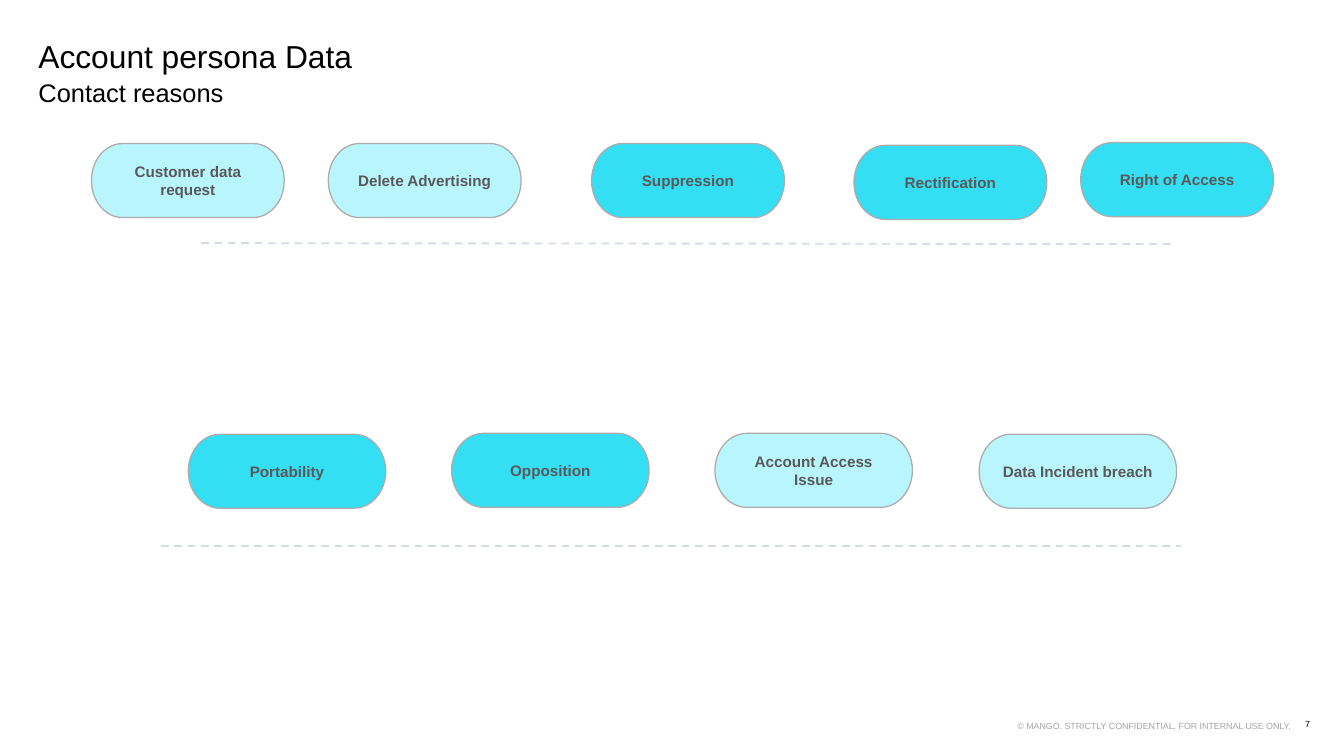
"""Build the slide listing the contact reasons for account personal data."""
from typing import NamedTuple

import pptx
import pptx.dml.color
import pptx.enum.dml
import pptx.enum.shapes
import pptx.enum.text
import pptx.oxml
import pptx.oxml.ns
import pptx.util

Inches = pptx.util.Inches
Pt = pptx.util.Pt
Align = pptx.enum.text.PP_ALIGN
Anchor = pptx.enum.text.MSO_ANCHOR

PALE, BRIGHT = "B9F5FC", "34DEF3"
ROW_1_WIDTH, ROW_2_WIDTH, PILL_HEIGHT = 2.11, 2.16, 0.81


class Pill(NamedTuple):
    text: str
    left: float
    top: float
    width: float
    fill: str


class Label(NamedTuple):
    text: str
    box: tuple[float, float, float, float]
    size: float
    color: str
    spacing: float
    align: Align


class Divider(NamedTuple):
    x1: float
    y1: float
    x2: float
    y2: float


TITLE = Label("Account persona Data", (0.42, 0.32, 4.05, 0.41), 25, "000000", 1.2, Align.LEFT)
LABELS = [
    Label("Contact reasons", (0.42, 0.82, 2.59, 0.6), 20, "000000", 1.07, Align.LEFT),
    Label("© MANGO. STRICTLY CONFIDENTIAL, FOR INTERNAL USE ONLY.",
          (10.67, 7.83, 3.45, 0.16), 7, "A5A5A5", 1.5, Align.RIGHT),
    Label("7", (13.9, 7.86, 0.43, 0.12), 7, "000000", 1, Align.RIGHT),
]
PILLS = [
    Pill("Customer data request", 1, 1.57, ROW_1_WIDTH, PALE),
    Pill("Delete Advertising", 3.59, 1.57, ROW_1_WIDTH, PALE),
    Pill("Suppression", 6.47, 1.57, ROW_1_WIDTH, BRIGHT),
    Pill("Rectification", 9.34, 1.59, ROW_1_WIDTH, BRIGHT),
    Pill("Right of Access", 11.82, 1.56, ROW_1_WIDTH, BRIGHT),
    Pill("Portability", 2.06, 4.75, ROW_2_WIDTH, BRIGHT),
    Pill("Opposition", 4.94, 4.74, ROW_2_WIDTH, BRIGHT),
    Pill("Account Access Issue", 7.82, 4.74, ROW_2_WIDTH, PALE),
    Pill("Data Incident breach", 10.71, 4.75, ROW_2_WIDTH, PALE),
]
DIVIDERS = [Divider(2.2, 2.66, 12.86, 2.67), Divider(1.76, 5.97, 12.92, 5.97)]


def rgb(color: str) -> pptx.dml.color.RGBColor:
    """Turn a hex string into a colour."""
    return pptx.dml.color.RGBColor.from_string(color)


def write(p, text: str, size: float, color: str, align: Align, bold: bool = False) -> None:
    """Put formatted text into a paragraph."""
    p.text = text
    p.alignment = align
    p.font.name = "Arial"
    p.font.size = Pt(size)
    p.font.bold = bold
    p.font.color.rgb = rgb(color)


def fill_label(sp, label: Label) -> None:
    """Place a text shape without margins and write its label."""
    sp.left, sp.top, sp.width, sp.height = map(Inches, label.box)
    tf = sp.text_frame
    tf.word_wrap = True
    tf.auto_size = pptx.enum.text.MSO_AUTO_SIZE.NONE
    tf.vertical_anchor = Anchor.TOP
    tf.margin_left = tf.margin_top = tf.margin_right = tf.margin_bottom = 0
    p = tf.paragraphs[0]
    write(p, label.text, label.size, label.color, label.align)
    p.line_spacing = label.spacing


def add_pill(shapes, pill: Pill) -> None:
    """Draw one contact reason."""
    sp = shapes.add_shape(
        pptx.enum.shapes.MSO_SHAPE.FLOWCHART_TERMINATOR,
        Inches(pill.left), Inches(pill.top), Inches(pill.width), Inches(PILL_HEIGHT))
    sp.shadow.inherit = False
    sp.fill.solid()
    sp.fill.fore_color.rgb = rgb(pill.fill)
    sp.line.color.rgb = rgb("AEABAB")
    sp.line.width = Pt(1)
    tf = sp.text_frame
    tf.word_wrap = True
    tf.vertical_anchor = Anchor.MIDDLE
    write(tf.paragraphs[0], pill.text, 12, "595959", Align.CENTER, bold=True)


def add_divider(shapes, divider: Divider) -> None:
    """Draw a dashed line below a row."""
    line = shapes.add_connector(
        pptx.enum.shapes.MSO_CONNECTOR.STRAIGHT, *map(Inches, divider))
    line.line.color.rgb = rgb("D5DBE5")
    line.line.width = Pt(1.5)
    line.line.dash_style = pptx.enum.dml.MSO_LINE.DASH
    sp_pr = line._element.find(pptx.oxml.ns.qn("p:spPr"))
    sp_pr.append(pptx.oxml.parse_xml(f"<a:effectLst {pptx.oxml.ns.nsdecls('a')}/>"))


def main() -> None:
    """Build and save the slide."""
    prs = pptx.Presentation()
    prs.slide_width, prs.slide_height = Inches(14.7), Inches(8.27)
    s = prs.slides.add_slide(prs.slide_layouts.get_by_name("Title Only"))
    fill_label(s.shapes.title, TITLE)
    for label in LABELS:
        fill_label(s.shapes.add_textbox(0, 0, 0, 0), label)
    for divider in DIVIDERS:
        add_divider(s.shapes, divider)
    for pill in PILLS:
        add_pill(s.shapes, pill)
    prs.save("out.pptx")


if __name__ == "__main__":
    main()
